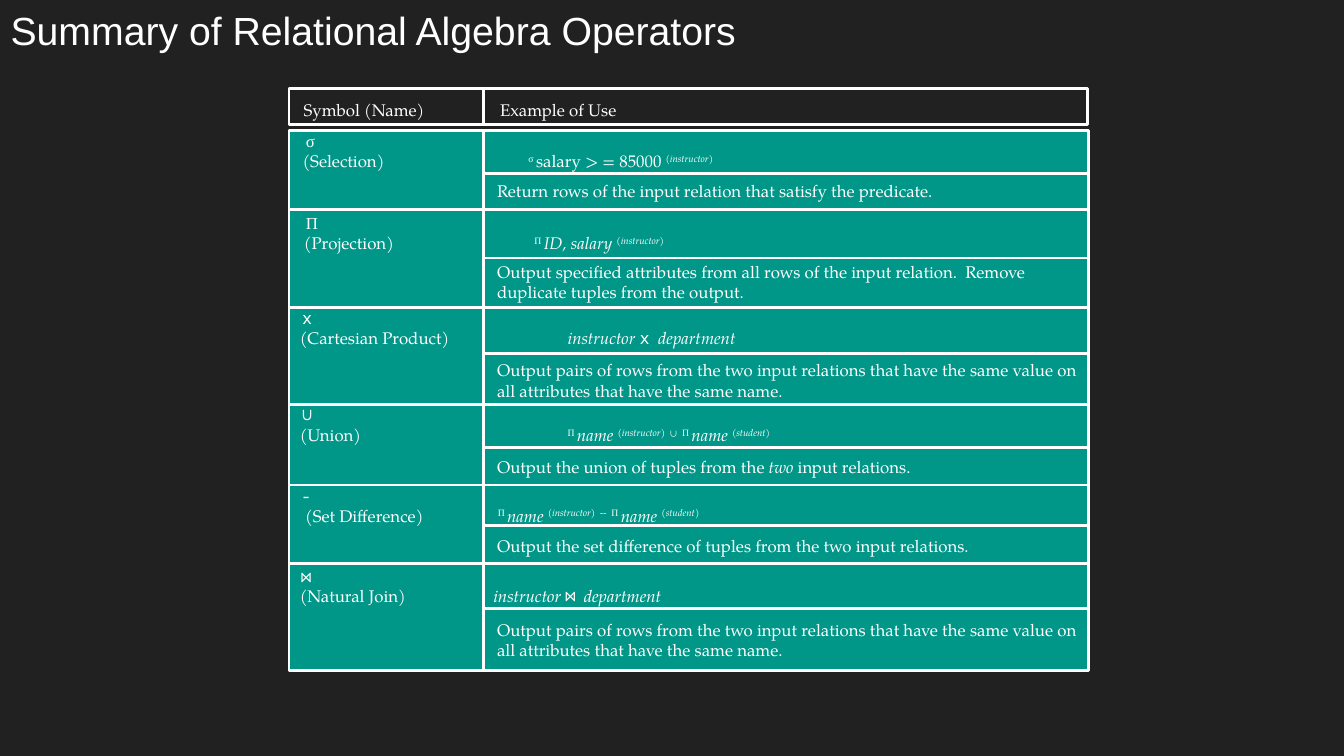
from dataclasses import dataclass

from lxml.etree import SubElement
from pptx import Presentation
from pptx.dml.color import RGBColor
from pptx.enum.shapes import MSO_CONNECTOR, MSO_SHAPE
from pptx.enum.text import MSO_ANCHOR, MSO_AUTO_SIZE
from pptx.oxml.ns import qn
from pptx.util import Pt


@dataclass(frozen=True)
class Theme:
    background: RGBColor = RGBColor(0x21, 0x21, 0x21)
    panel: RGBColor = RGBColor(0x00, 0x96, 0x88)
    ink: RGBColor = RGBColor(0xFF, 0xFF, 0xFF)
    title_font: str = "Arial"
    body_font: str = "TeX Gyre Pagella"
    greek_font: str = "Times New Roman"
    symbol_font: str = "Noto Sans Mono"
    title_size: float = 21
    body_size: float = 9
    rule_width: float = 1.5


@dataclass(frozen=True)
class Box:
    left: float
    top: float
    width: float
    height: float

    @property
    def right(self):
        return self.left + self.width

    @property
    def bottom(self):
        return self.top + self.height


@dataclass(frozen=True)
class Span:
    text: str
    font: str = ""
    italic: bool = False
    raised: bool = False


@dataclass(frozen=True)
class Operator:
    symbol: Span
    name: str
    example: tuple
    meaning: tuple
    height: float          # whole row
    split: float           # row top to the inner rule
    symbol_left: float     # text edges, from the left of the slide
    name_left: float
    example_left: float
    lift: float            # example box top above the inner rule
    drop: float            # meaning box top below the inner rule


THEME = Theme()
INSET = 7.2
DIVIDER = 259.2
LINE_HEIGHT = 18


def add_text(page, box, spans, font=THEME.body_font, size=THEME.body_size,
             tab=None, inset=3.6, anchor=MSO_ANCHOR.TOP, grow=True):
    shape = page.shapes.add_textbox(Pt(box.left), Pt(box.top), Pt(box.width), Pt(box.height))
    frame = shape.text_frame
    frame.word_wrap = True
    frame.auto_size = MSO_AUTO_SIZE.SHAPE_TO_FIT_TEXT if grow else MSO_AUTO_SIZE.NONE
    frame.vertical_anchor = anchor
    frame.margin_left = frame.margin_right = Pt(INSET)
    frame.margin_top = frame.margin_bottom = Pt(inset)
    para = frame.paragraphs[0]
    if tab:
        stops = SubElement(para._p.get_or_add_pPr(), qn("a:tabLst"))
        SubElement(stops, qn("a:tab"), pos=str(int(Pt(tab))), algn="l")
    for span in spans:
        run = para.add_run()
        run.text = span.text
        run.font.name = span.font or font
        run.font.size = Pt(size)
        run.font.italic = span.italic
        run.font.color.rgb = THEME.ink
        if span.raised:
            run.font._element.set("baseline", "30000")


def add_panel(page, box, color):
    panel = page.shapes.add_shape(MSO_SHAPE.RECTANGLE, Pt(box.left), Pt(box.top),
                                  Pt(box.width), Pt(box.height))
    panel.shadow.inherit = False
    panel.fill.solid()
    panel.fill.fore_color.rgb = color
    panel.line.color.rgb = THEME.ink
    panel.line.width = Pt(THEME.rule_width)


def add_rule(page, left, top, right, bottom):
    rule = page.shapes.add_connector(MSO_CONNECTOR.STRAIGHT, Pt(left), Pt(top), Pt(right), Pt(bottom))
    rule.line.color.rgb = THEME.ink
    rule.line.width = Pt(THEME.rule_width)
    SubElement(rule._element.spPr, qn("a:effectLst"))


def add_two_columns(page, top, name, example, name_left, example_left):
    """One line of text whose second part starts at a tab stop."""
    box = Box(name_left - INSET, top, 383, LINE_HEIGHT)
    add_text(page, box, [Span(name + "\t"), *example], tab=example_left - name_left)


def add_title(page, box):
    add_text(page, box, [Span("Summary of Relational Algebra Operators")],
             font=THEME.title_font, size=THEME.title_size, inset=INSET,
             anchor=MSO_ANCHOR.MIDDLE, grow=False)


def add_header(page, box):
    add_panel(page, box, THEME.background)
    add_rule(page, DIVIDER, box.top, DIVIDER, box.bottom)
    add_two_columns(page, box.top + 2.2, "Symbol (Name)", [Span("Example of Use")], 162.8, 268)


def add_operator(page, box, operator):
    split = box.top + operator.split
    example_top = split - operator.lift
    add_rule(page, DIVIDER, split, box.right, split)
    add_text(page, Box(operator.symbol_left - INSET, example_top - 10.6, 54, LINE_HEIGHT),
             [operator.symbol])
    add_two_columns(page, example_top, operator.name, operator.example,
                    operator.name_left, operator.example_left)
    lines = 2 if sum(len(span.text) for span in operator.meaning) > 70 else 1
    add_text(page, Box(DIVIDER, split + operator.drop, 328, 7.2 + 10.8 * lines), operator.meaning)


def add_body(page, box, operators):
    add_panel(page, box, THEME.panel)
    add_rule(page, DIVIDER, box.top, DIVIDER, box.bottom)
    top = box.top
    for index, operator in enumerate(operators):
        if index:
            add_rule(page, box.left, top, box.right, top)
        add_operator(page, Box(box.left, top, box.width, operator.height), operator)
        top += operator.height


# Pieces of notation
def greek(letter, raised=False):
    return Span(letter, THEME.greek_font, raised=raised)


def sign(character):
    return Span(character, THEME.symbol_font)


def applied(operator, attributes, relation, italic=True):
    return (greek(operator + " ", raised=True), Span(attributes + " ", italic=italic),
            Span("(", raised=True), Span(relation, italic=True, raised=True),
            Span(")", raised=True))


def combined(operator):
    return (*applied("Π", "name", "instructor"), Span(f"  {operator}  ", raised=True),
            *applied("Π", "name", "student"))


def joined(operator):
    return Span("instructor ", italic=True), sign(operator), Span("  department", italic=True)


PAIRS = (Span("Output pairs of rows from the two input relations that have the same value "
              "on all attributes that have the same name."),)

OPERATORS = [
    Operator(greek("σ"), "(Selection)", applied("σ", "salary > = 85000", "instructor", italic=False),
             (Span("Return rows of the input relation that satisfy the predicate."),),
             42.5, 23, 164, 162.2, 283.2, 15.8, 0.7),
    Operator(greek("Π"), "(Projection)", applied("Π", "ID, salary", "instructor"),
             (Span("Output specified attributes from all rows of the input relation.  "
                   "Remove duplicate tuples from the output."),),
             52.6, 25.9, 164, 162.9, 286.4, 17.3, -1.4),
    Operator(sign("x"), "(Cartesian Product)", joined("x"), PAIRS,
             51.8, 24.5, 162, 160.7, 304.2, 17.3, 0),
    Operator(sign("∪"), "(Union)", combined("∪"),
             (Span("Output the union of tuples from the "), Span("two ", italic=True),
              Span("input relations.")),
             43.2, 23, 162, 160.7, 304.2, 15.8, 1.4),
    Operator(sign("-"), "(Set Difference)", combined("--"),
             (Span("Output the set difference of tuples from the two input relations."),),
             41.8, 21.6, 161.4, 163.6, 266.8, 14.4, 2.2),
    Operator(sign("⋈"), "(Natural Join)", joined("⋈"), PAIRS,
             57.5, 24.5, 161.4, 160.7, 264.4, 15.8, 2.2),
]


def main():
    deck = Presentation()
    deck.slide_width, deck.slide_height = Pt(720), Pt(405)
    page = deck.slides.add_slide(deck.slide_layouts[6])
    page.background.fill.solid()
    page.background.fill.fore_color.rgb = THEME.background
    add_title(page, Box(-1.4, -6.5, 670, 45.4))
    add_header(page, Box(154.8, 47.5, 427.7, 19.4))
    add_body(page, Box(154.8, 69.8, 428.4, 289.4), OPERATORS)
    deck.save("out.pptx")


if __name__ == "__main__":
    main()
